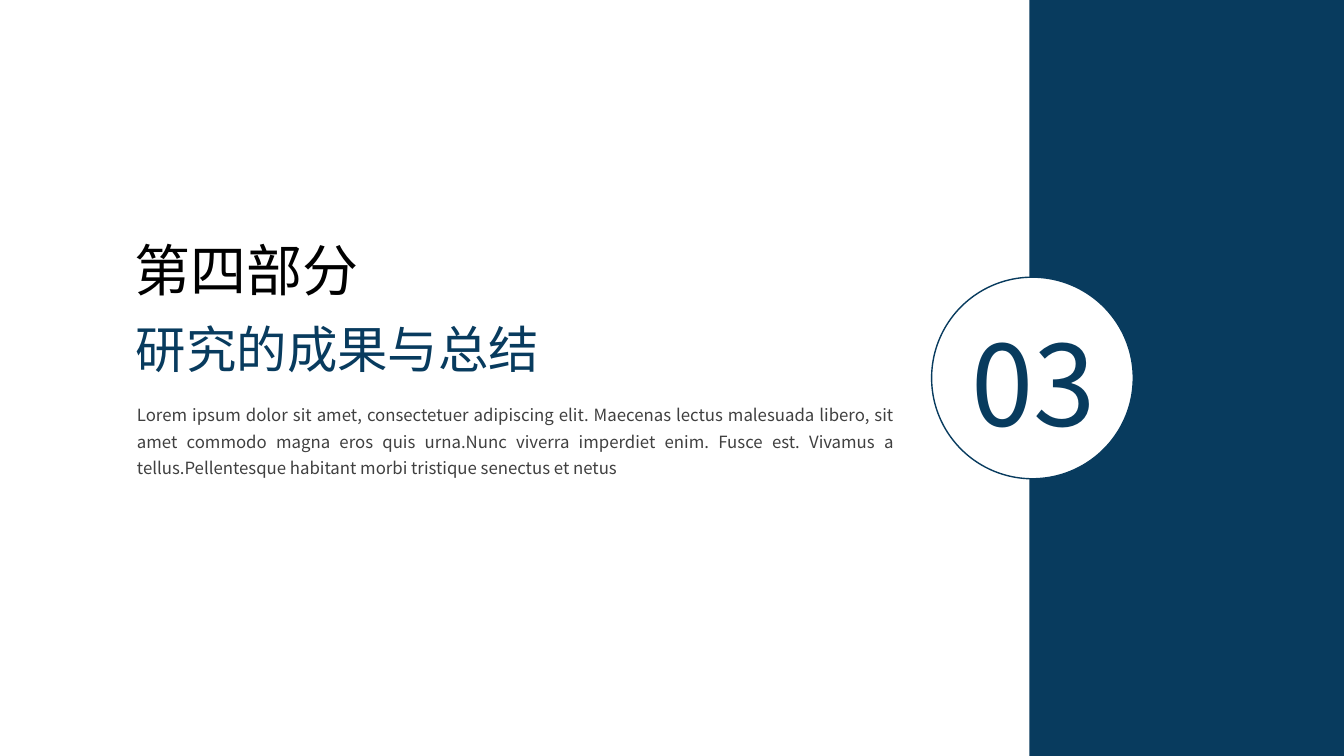
from pptx import Presentation
from pptx.dml.color import RGBColor
from pptx.enum.shapes import MSO_SHAPE
from pptx.enum.text import MSO_AUTO_SIZE, PP_ALIGN
from pptx.oxml.ns import qn
from pptx.util import Inches, Pt
from lxml.etree import SubElement

# Content: text, style, box (left, top, width, height)
TEXTS = [
    ("第四部分", "part", (1.24, 2.29, 3.26, 0.77)),
    ("研究的成果与总结", "title", (1.25, 3.11, 4.43, 0.71)),
    ("Lorem ipsum dolor sit amet, consectetuer adipiscing elit. "
     "Maecenas lectus malesuada libero, sit amet commodo magna eros quis "
     "urna.Nunc viverra imperdiet enim. Fusce est. Vivamus a "
     "tellus.Pellentesque habitant morbi tristique senectus et netus",
     "body", (1.26, 3.91, 7.71, 0.87)),
    ("03", "number", (9.25, 3.07, 2, 1.45)),
]

# Theme
NAVY, WHITE = "083B5E", "FFFFFF"
JP, SC = "Noto Sans CJK JP", "Noto Sans CJK SC"
THEME = {
    "part": dict(size=40, name=SC, color="000000", para={}),
    "title": dict(size=36, name=JP, color=NAVY, para={}),
    "body": dict(size=12, name=SC, color="404040",
                 para=dict(alignment=PP_ALIGN.JUSTIFY, line_spacing=1.3)),
    "number": dict(size=80, name=JP, color=NAVY,
                   para=dict(alignment=PP_ALIGN.CENTER)),
}

# Layout
WIDE, HIGH = 13.33, 7.5
EDGE = 10.21
DISC = 2
SHAPES = [
    (MSO_SHAPE.RECTANGLE, (EDGE, 0, WIDE - EDGE, HIGH), NAVY, None),
    (MSO_SHAPE.OVAL, (9.24, (HIGH - DISC) / 2, DISC, DISC), WHITE, NAVY),
]


def add_form(slide, kind, box, fill, line):
    form = slide.shapes.add_shape(kind, *map(Inches, box))
    form.shadow.inherit = False
    form.fill.solid()
    form.fill.fore_color.rgb = RGBColor.from_string(fill)
    if line:
        form.line.color.rgb = RGBColor.from_string(line)
        form.line.width = Pt(1)
    else:
        form.line.fill.background()


def add_text(slide, text, style, box):
    look = THEME[style]
    frame = slide.shapes.add_textbox(*map(Inches, box)).text_frame
    frame.word_wrap = True
    frame.auto_size = MSO_AUTO_SIZE.SHAPE_TO_FIT_TEXT
    para = frame.paragraphs[0]
    for key, value in look["para"].items():
        setattr(para, key, value)
    run = para.add_run()
    run.text = text
    font = run.font
    for key, value in dict(size=Pt(look["size"]), name=look["name"]).items():
        setattr(font, key, value)
    font.color.rgb = RGBColor.from_string(look["color"])
    # East Asian typeface
    SubElement(run._r.get_or_add_rPr(), qn("a:ea")).set("typeface", look["name"])


def main():
    deck = Presentation()
    deck.slide_width, deck.slide_height = Inches(WIDE), Inches(HIGH)
    slide = deck.slides.add_slide(deck.slide_layouts[6])
    for item in SHAPES:
        add_form(slide, *item)
    for item in TEXTS:
        add_text(slide, *item)
    deck.save("out.pptx")


if __name__ == "__main__":
    main()
